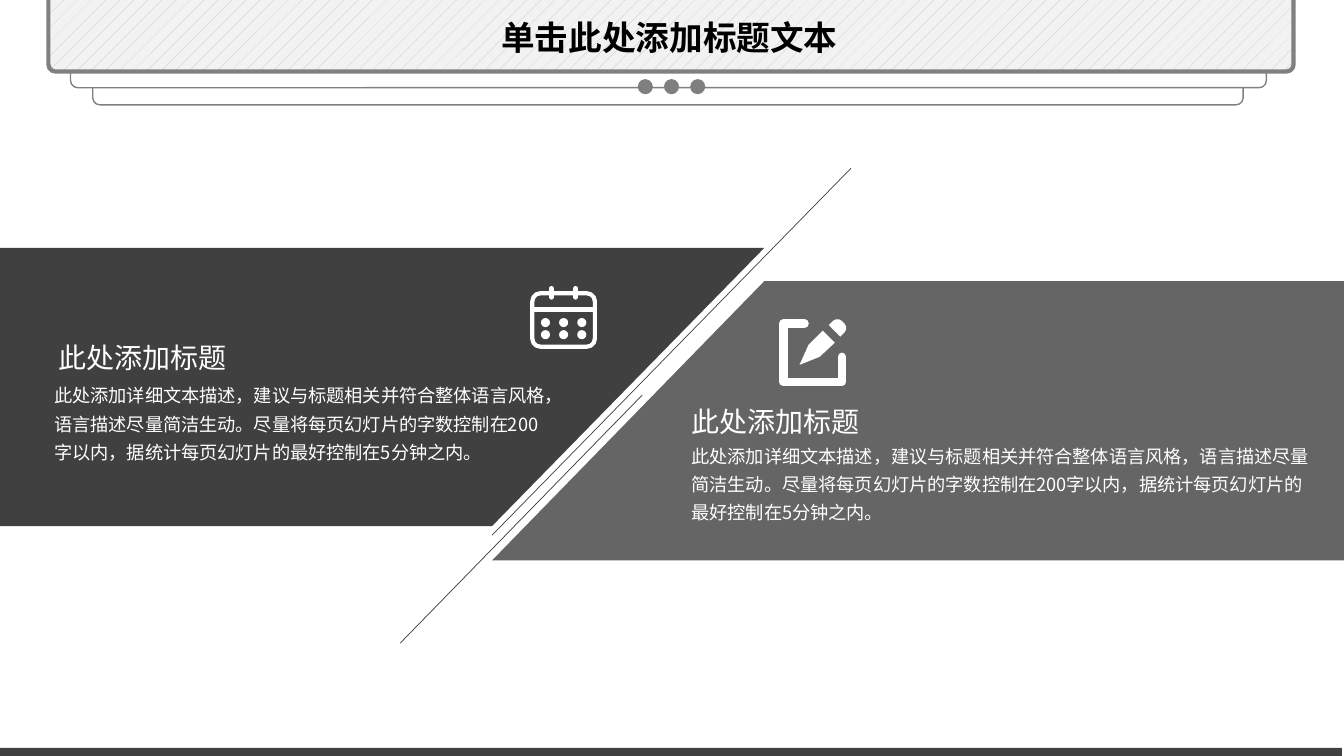
from lxml.etree import SubElement
from pptx import Presentation
from pptx.dml.color import RGBColor
from pptx.enum.dml import MSO_PATTERN
from pptx.enum.shapes import MSO_CONNECTOR, MSO_SHAPE
from pptx.enum.text import MSO_AUTO_SIZE, PP_ALIGN
from pptx.oxml.ns import qn
from pptx.util import Inches, Pt

FONT = "Noto Sans CJK JP"
WHITE, DARK, GREY, RULE = "FFFFFF", "404040", "656565", "808080"
HEADING = "此处添加标题"
DETAIL = (
    "此处添加详细文本描述，建议与标题相关并符合整体语言风格，"
    "语言描述尽量简洁生动。尽量将每页幻灯片的字数控制在200字以内，"
    "据统计每页幻灯片的最好控制在5分钟之内。"
)


def rgb(value):
    return RGBColor.from_string(value)


def paint(shape, fill=None, line=None, stroke=1):
    shape.shadow.inherit = False
    if fill:
        shape.fill.solid()
        shape.fill.fore_color.rgb = rgb(fill)
    else:
        shape.fill.background()
    if line:
        shape.line.color.rgb = rgb(line)
        shape.line.width = Pt(stroke)
    else:
        shape.line.fill.background()
    return shape


def add_preset(slide, kind, left, top, width, height, corner=None, **look):
    shape = slide.shapes.add_shape(
        kind, Inches(left), Inches(top), Inches(width), Inches(height))
    if corner is not None:
        shape.adjustments[0] = corner
    return paint(shape, **look)


def add_dot(slide, center_x, center_y, size, color):
    add_preset(slide, MSO_SHAPE.OVAL, center_x - size / 2, center_y - size / 2,
               size, size, fill=color)


def add_outline(slide, points, close=True, **look):
    start, *rest = [(Inches(x), Inches(y)) for x, y in points]
    builder = slide.shapes.build_freeform(*start)
    builder.add_line_segments(rest, close=close)
    return paint(builder.convert_to_shape(), **look)


def add_line(slide, start, end, color, stroke):
    line = slide.shapes.add_connector(
        MSO_CONNECTOR.STRAIGHT, *map(Inches, start + end))
    line.line.color.rgb = rgb(color)
    line.line.width = Pt(stroke)
    SubElement(line._element.spPr, qn("a:effectLst"))
    return line


def round_ends(shape):
    outline = shape._element.spPr.find(qn("a:ln"))
    outline.set("cap", "rnd")
    SubElement(outline, qn("a:round"))


def add_text(slide, text, left, top, width, height, size, color=WHITE,
             bold=False, align=PP_ALIGN.LEFT, spacing=None):
    frame = slide.shapes.add_textbox(
        Inches(left), Inches(top), Inches(width), Inches(height)).text_frame
    frame.word_wrap = True
    frame.auto_size = MSO_AUTO_SIZE.SHAPE_TO_FIT_TEXT
    paragraph = frame.paragraphs[0]
    paragraph.alignment = align
    if spacing:
        paragraph.line_spacing = spacing
    run = paragraph.add_run()
    run.text = text
    run.font.name = FONT
    run.font.size = Pt(size)
    run.font.bold = bold
    run.font.color.rgb = rgb(color)
    # East Asian characters take their own typeface setting
    SubElement(run.font._element, qn("a:ea")).set("typeface", FONT)


def add_header(slide):
    # Stacked cards hanging from the top edge
    for left, top, width, stroke in (
            (0.92, -2.86, 11.41, 1), (0.7, -3.03, 11.86, 1),
            (0.48, -3.19, 12.35, 3)):
        card = add_preset(slide, MSO_SHAPE.ROUNDED_RECTANGLE, left, top, width,
                          3.9, corner=0.018, fill=WHITE, line=RULE, stroke=stroke)
    # The front card is hatched
    card.fill.patterned()
    card.fill.pattern = MSO_PATTERN.PERCENT_5
    card.fill.fore_color.rgb = rgb("BFBFBF")
    card.fill.back_color.rgb = rgb("F2F2F2")
    for column in (-1, 0, 1):
        add_dot(slide, 6.66 + column * 0.26, 0.86, 0.15, "7F7F7F")


def add_calendar(slide):
    add_preset(slide, MSO_SHAPE.ROUNDED_RECTANGLE, 5.28, 2.91, 0.62, 0.53,
               corner=0.15, line=WHITE, stroke=3)
    add_line(slide, (5.28, 3.07), (5.9, 3.07), WHITE, 3)
    for ring_x in (5.47, 5.71):
        round_ends(add_line(slide, (ring_x, 2.86), (ring_x, 2.95), WHITE, 3.25))
    for day_y in (3.2, 3.32):
        for day_x in (5.41, 5.59, 5.77):
            add_dot(slide, day_x, day_y, 0.09, WHITE)


def add_edit_icon(slide):
    page = [(7.98, 3.21), (7.77, 3.21), (7.77, 3.79), (8.35, 3.79), (8.35, 3.54)]
    round_ends(add_outline(slide, page, close=False, line=WHITE, stroke=6))
    pencil = [(8.28, 3.4), (8.13, 3.54), (7.93, 3.62), (8.02, 3.42), (8.16, 3.28)]
    add_outline(slide, pencil, fill=WHITE)
    eraser = add_preset(slide, MSO_SHAPE.ROUND_2_SAME_RECTANGLE, 8.24, 3.18,
                        0.16, 0.12, corner=0.5, fill=WHITE)
    eraser.rotation = 45


def add_topic(slide, heading_at, detail_at, detail_width):
    add_text(slide, DETAIL, *detail_at, detail_width, 0.95, size=13, spacing=1.3)
    add_text(slide, HEADING, *heading_at, 3.97, 0.43, size=20)


def main():
    deck = Presentation()
    deck.slide_width, deck.slide_height = Inches(13.33), Inches(7.5)
    slide = deck.slides.add_slide(deck.slide_layouts[6])

    add_header(slide)

    # Footer strip
    add_preset(slide, MSO_SHAPE.RECTANGLE, -0.02, 7.42, 13.33, 0.08, fill=DARK)

    # Two slanted panels
    add_outline(slide, [(7.58, 2.79), (13.33, 2.79), (13.33, 5.56), (4.88, 5.56)],
                fill=GREY)
    add_outline(slide, [(0, 2.46), (7.58, 2.46), (4.88, 5.22), (0, 5.22)],
                fill=DARK)

    # Diagonal rules between the panels
    add_line(slide, (8.44, 1.67), (4.88, 5.31), DARK, 0.5)
    add_line(slide, (6.37, 3.92), (3.97, 6.38), "3A3A3A", 0.5)

    # Panel contents
    add_topic(slide, (0.48, 3.33), (0.44, 3.7), 5.14)
    add_topic(slide, (6.76, 3.96), (6.76, 4.3), 6.39)
    add_calendar(slide)
    add_edit_icon(slide)

    # Title
    add_text(slide, "单击此处添加标题文本", 4.26, 0.12, 4.76, 0.5, size=24,
             color="000000", bold=True, align=PP_ALIGN.CENTER)

    deck.save("out.pptx")


if __name__ == "__main__":
    main()
